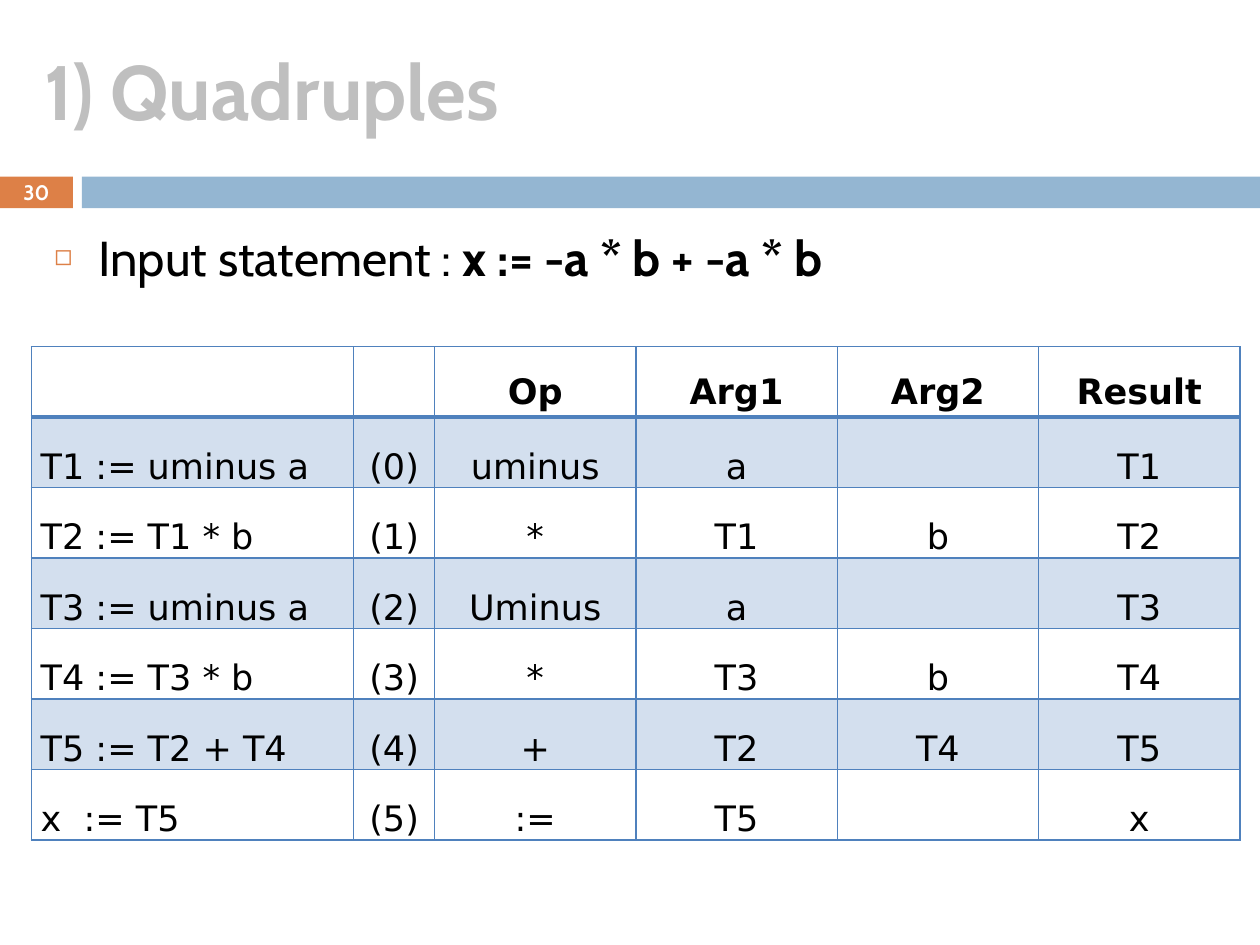
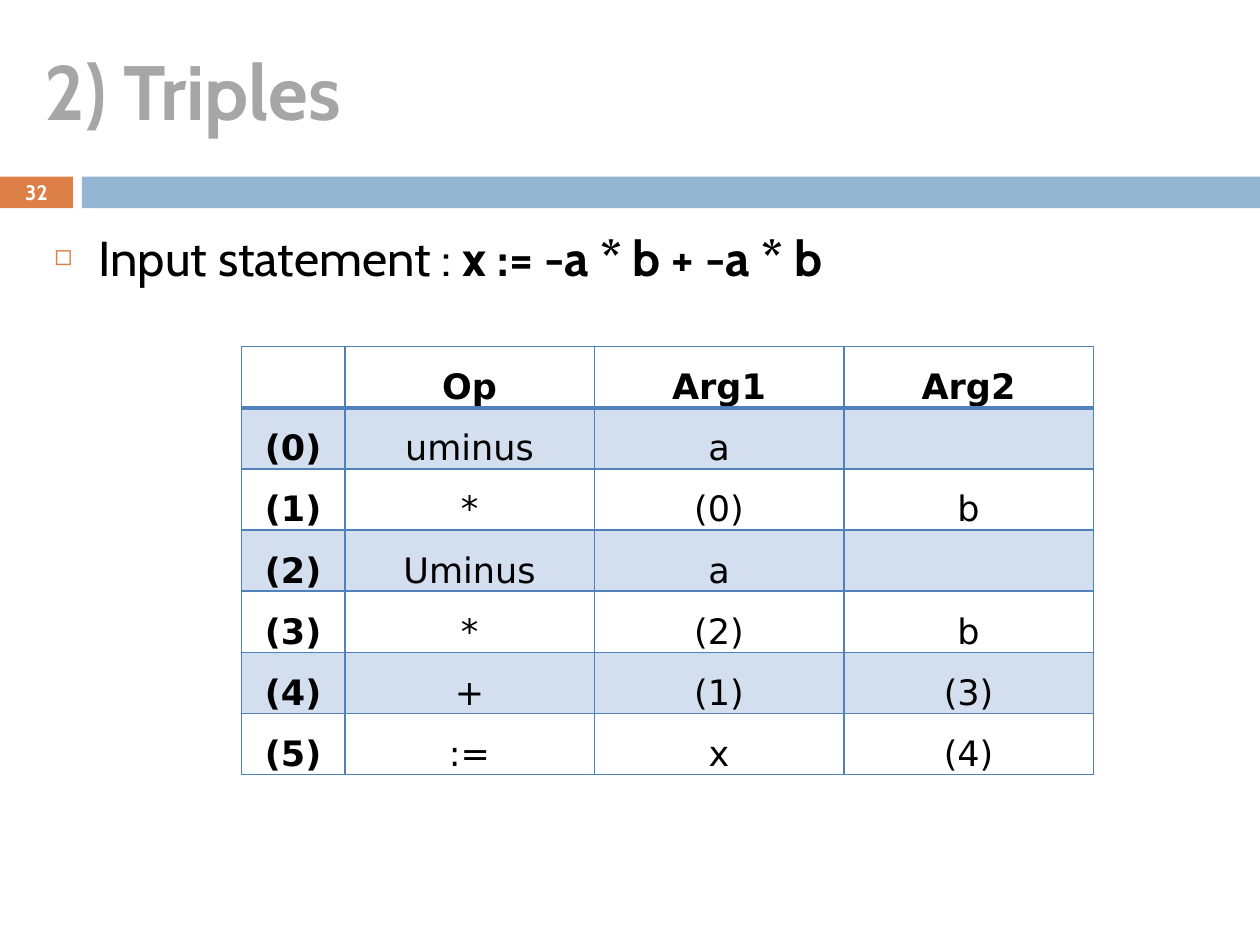
"""Build two slides on three-address code: quadruples and triples."""
from lxml.etree import SubElement
from pptx import Presentation
from pptx.dml.color import RGBColor
from pptx.enum.shapes import MSO_SHAPE as Shape
from pptx.enum.text import MSO_ANCHOR as Anchor, MSO_AUTO_SIZE as AutoSize, PP_ALIGN as Align
from pptx.oxml.ns import qn
from pptx.util import Cm, Pt

STATEMENT = ("Input statement : ", "x := -a * b + -a * b")
SLIDES = [
    {
        "title": "1) Quadruples", "title_color": "BFBFBF", "number": "30",
        "left": 0.63, "columns": [6.5, 1.63] + [4.06] * 4, "row_height": 1.42,
        "code_column": True,
        "rows": [
            ("", "", "Op", "Arg1", "Arg2", "Result"),
            ("T1 := uminus a", "(0)", "uminus", "a", "", "T1"),
            ("T2 := T1 * b", "(1)", "*", "T1", "b", "T2"),
            ("T3 := uminus a", "(2)", "Uminus", "a", "", "T3"),
            ("T4 := T3 * b", "(3)", "*", "T3", "b", "T4"),
            ("T5 := T2 + T4", "(4)", "+", "T2", "T4", "T5"),
            ("x  := T5", "(5)", ":=", "T5", "", "x"),
        ],
    },
    {
        "title": "2) Triples", "title_color": "A6A6A6", "number": "32",
        "left": 4.87, "columns": [2.08] + [5.03] * 3, "row_height": 1.23,
        "code_column": False,
        "rows": [
            ("", "Op", "Arg1", "Arg2"),
            ("(0)", "uminus", "a", ""),
            ("(1)", "*", "(0)", "b"),
            ("(2)", "Uminus", "a", ""),
            ("(3)", "*", "(2)", "b"),
            ("(4)", "+", "(1)", "(3)"),
            ("(5)", ":=", "x", "(4)"),
        ],
    },
]

HEADING_FONT, TABLE_FONT = "Cabin", "DejaVu Sans"
ORANGE, BLUE, BORDER, STRIPE = "DD8047", "94B6D2", "4F81BD", "D3DFEE"
BLACK, WHITE = "000000", "FFFFFF"
WIDTH, HEIGHT = 25.4, 19.05
BAND_TOP, BAND_HEIGHT = 3.56, 0.64
NUMBER_WIDTH, BAND_LEFT = 1.47, 1.65
TABLE_TOP = 6.99
THIN, THICK = 1, 2.25


def rgb(color):
    return RGBColor.from_string(color)


def style(paragraph, font_name, size, color, bold=False, align=Align.LEFT):
    paragraph.alignment = align
    font = paragraph.font
    font.name, font.size, font.bold = font_name, Pt(size), bold
    font.color.rgb = rgb(color)


def place(placeholder, left, top, width, height):
    placeholder.left, placeholder.top = Cm(left), Cm(top)
    placeholder.width, placeholder.height = Cm(width), Cm(height)
    placeholder.text_frame.auto_size = AutoSize.NONE


def add_band(slide, left, width, color):
    band = slide.shapes.add_shape(
        Shape.RECTANGLE, Cm(left), Cm(BAND_TOP), Cm(width), Cm(BAND_HEIGHT))
    band.shadow.inherit = False
    band.fill.solid()
    band.fill.fore_color.rgb = rgb(color)
    band.line.fill.background()


def add_number(slide, number):
    number_box = slide.shapes.add_textbox(
        Cm(0), Cm(BAND_TOP), Cm(NUMBER_WIDTH), Cm(BAND_HEIGHT))
    frame = number_box.text_frame
    frame.word_wrap = True
    frame.vertical_anchor = Anchor.MIDDLE
    frame.text = number
    style(frame.paragraphs[0], HEADING_FONT, 12, WHITE, True, Align.CENTER)


def add_bullet(paragraph):
    props = paragraph._p.get_or_add_pPr()
    props.set("marL", str(Cm(0.89)))
    props.set("indent", str(-Cm(0.89)))
    bullet_color = SubElement(props, qn("a:buClr"))
    SubElement(bullet_color, qn("a:srgbClr"), val=ORANGE)
    SubElement(props, qn("a:buSzPct"), val="60000")
    SubElement(props, qn("a:buChar"), char="◻")


def add_statement(body):
    place(body, 0.84, 4.45, 23.7, 1.9)
    paragraph = body.text_frame.paragraphs[0]
    paragraph.space_before = Pt(0)
    add_bullet(paragraph)
    style(paragraph, HEADING_FONT, 28, BLACK)
    label, code = (paragraph.add_run() for _ in STATEMENT)
    label.text, code.text = STATEMENT
    code.font.bold = True


def add_borders(cell, row):
    props = cell._tc.get_or_add_tcPr()
    top = THICK if row == 1 else THIN
    bottom = THICK if row == 0 else THIN
    for side, width in zip("LRTB", (THIN, THIN, top, bottom)):
        border = SubElement(props, qn(f"a:ln{side}"), w=str(Pt(width)))
        fill = SubElement(border, qn("a:solidFill"))
        SubElement(fill, qn("a:srgbClr"), val=BORDER)


def fill_cell(cell, text, row, bold, align):
    add_borders(cell, row)
    if row % 2:
        cell.fill.solid()
        cell.fill.fore_color.rgb = rgb(STRIPE)
    else:
        cell.fill.background()
    cell.margin_left = cell.margin_right = Cm(0.19)
    cell.margin_top = cell.margin_bottom = Cm(0)
    cell.vertical_anchor = Anchor.BOTTOM if row else Anchor.MIDDLE
    cell.text = text
    paragraph = cell.text_frame.paragraphs[0]
    paragraph.line_spacing = 1.5
    style(paragraph, TABLE_FONT, 20, BLACK, bold, align)


def add_code_table(slide, content):
    rows, columns = content["rows"], content["columns"]
    table = slide.shapes.add_table(
        len(rows), len(columns), Cm(content["left"]), Cm(TABLE_TOP),
        Cm(sum(columns)), Cm(content["row_height"] * len(rows))).table
    table.first_row = table.horz_banding = False
    for column, width in zip(table.columns, columns):
        column.width = Cm(width)
    for r, texts in enumerate(rows):
        table.rows[r].height = Cm(content["row_height"])
        for c, text in enumerate(texts):
            is_code = content["code_column"] and c == 0
            is_index = not content["code_column"] and c == 0
            fill_cell(table.cell(r, c), text, r, r == 0 or is_index,
                      Align.LEFT if is_code else Align.CENTER)


def add_slide(deck, content):
    slide = deck.slides.add_slide(deck.slide_layouts[1])
    add_band(slide, 0, NUMBER_WIDTH, ORANGE)
    add_band(slide, BAND_LEFT, WIDTH - BAND_LEFT, BLUE)
    title, body = slide.placeholders
    place(title, 0.64, 0.43, 24.36, 2.74)
    title.text_frame.vertical_anchor = Anchor.MIDDLE
    title.text_frame.text = content["title"]
    style(title.text_frame.paragraphs[0], HEADING_FONT, 44, content["title_color"], True)
    add_statement(body)
    add_code_table(slide, content)
    add_number(slide, content["number"])


def main():
    deck = Presentation()
    deck.slide_width, deck.slide_height = Cm(WIDTH), Cm(HEIGHT)
    for content in SLIDES:
        add_slide(deck, content)
    deck.save("out.pptx")


if __name__ == "__main__":
    main()
